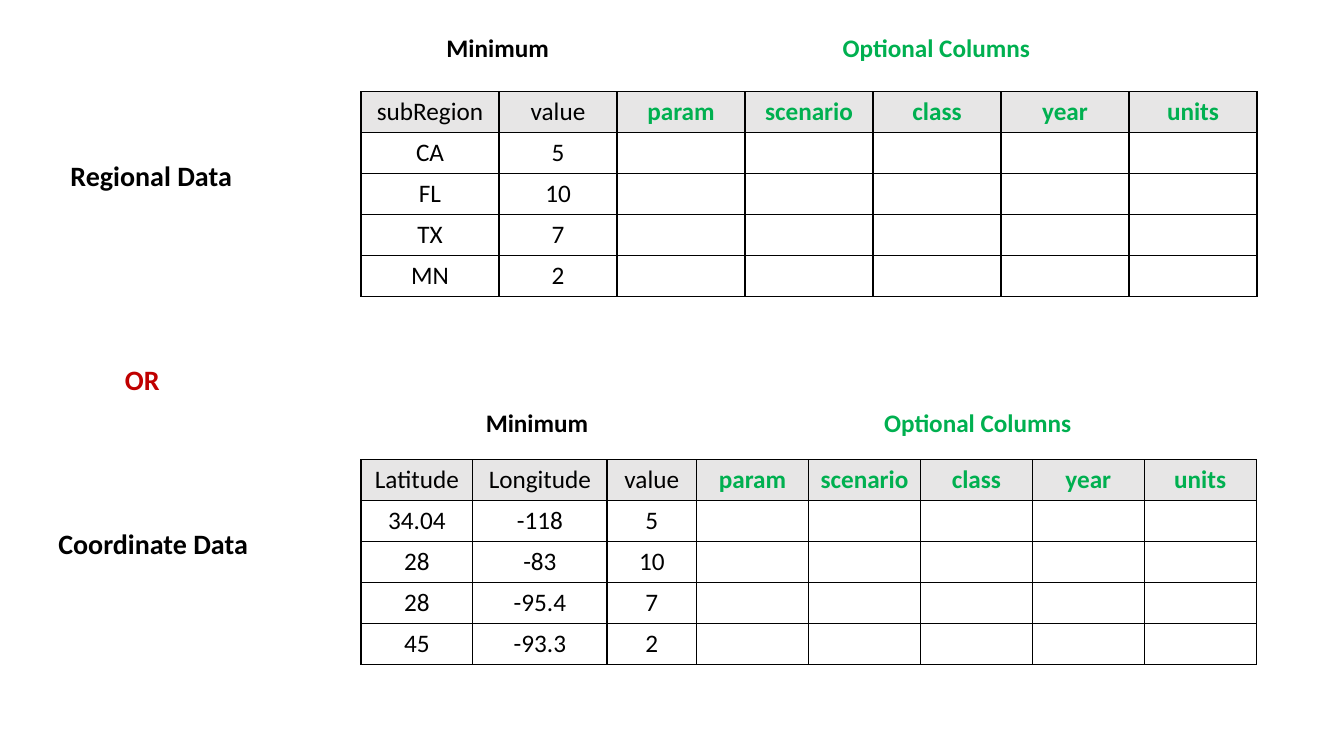
from dataclasses import dataclass

from lxml import etree
from pptx import Presentation
from pptx.dml.color import RGBColor
from pptx.enum.text import MSO_AUTO_SIZE, PP_ALIGN
from pptx.oxml.ns import qn
from pptx.slide import Slide
from pptx.table import _Cell
from pptx.text.text import Font
from pptx.util import Inches, Pt

CENTER = PP_ALIGN.CENTER
GROW = MSO_AUTO_SIZE.SHAPE_TO_FIT_TEXT

FONT = "Calibri"
BLACK, GREEN, RED, GRAY = "000000", "00B050", "C00000", "E7E6E6"
OPTIONAL = ["param", "scenario", "class", "year", "units"]
TABLE_LEFT, TABLE_WIDTH, TABLE_HEIGHT = 3.58, 8.89, 2.03


@dataclass
class Label:
    text: str
    left: float
    top: float
    width: float
    height: float
    size: int
    color: str = BLACK


@dataclass
class DataTable:
    top: float
    required: list[str]
    required_widths: list[float]
    optional_width: float
    rows: list[list[str]]


TABLES = [
    DataTable(0.91, ["subRegion", "value"], [1.37, 1.17], 1.27,
              [["CA", "5"], ["FL", "10"], ["TX", "7"], ["MN", "2"]]),
    DataTable(4.56, ["Latitude", "Longitude", "value"], [1.11, 1.33, 0.89], 1.11,
              [["34.04", "-118", "5"], ["28", "-83", "10"],
               ["28", "-95.4", "7"], ["45", "-93.3", "2"]]),
]

LABELS = [
    Label("Regional Data", 0.6, 1.52, 1.82, 0.44, 20),
    Label("Coordinate Data", 0.48, 5.17, 2.1, 0.44, 20),
    Label("OR", 1.14, 3.55, 0.55, 0.44, 20, RED),
    Label("Minimum", 4.33, 0.27, 1.23, 0.4, 18),
    Label("Optional Columns", 8.26, 0.27, 2.07, 0.4, 18, GREEN),
    Label("Minimum", 4.72, 3.99, 1.23, 0.4, 18),
    Label("Optional Columns", 8.67, 3.99, 2.07, 0.4, 18, GREEN),
]


def rgb(color: str) -> RGBColor:
    return RGBColor.from_string(color)


def set_font(font: Font, size: int, color: str, bold: bool) -> None:
    font.name = FONT
    font.size = Pt(size)
    font.bold = bold
    font.color.rgb = rgb(color)


def add_borders(cell: _Cell) -> None:
    properties = cell._tc.get_or_add_tcPr()
    for side in ("lnL", "lnR", "lnT", "lnB"):
        line = etree.SubElement(properties, qn(f"a:{side}"), w=str(Pt(1)))
        fill = etree.SubElement(line, qn("a:solidFill"))
        etree.SubElement(fill, qn("a:srgbClr"), val=BLACK)


def add_data_table(page: Slide, data: DataTable) -> None:
    header = data.required + OPTIONAL
    blanks = [""] * len(OPTIONAL)
    grid = [header] + [row + blanks for row in data.rows]
    widths = data.required_widths + [data.optional_width] * len(OPTIONAL)
    table = page.shapes.add_table(
        len(grid), len(header), Inches(TABLE_LEFT), Inches(data.top),
        Inches(TABLE_WIDTH), Inches(TABLE_HEIGHT)).table
    table.first_row = False
    table.horz_banding = False
    for column, width in zip(table.columns, widths):
        column.width = Inches(width)

    for row_index, row in enumerate(grid):
        for column_index, text in enumerate(row):
            cell = table.cell(row_index, column_index)
            add_borders(cell)
            is_header = row_index == 0
            if is_header:
                cell.fill.solid()
                cell.fill.fore_color.rgb = rgb(GRAY)
            else:
                cell.fill.background()
            if text:
                is_optional = column_index >= len(data.required)
                cell.text = text
                para = cell.text_frame.paragraphs[0]
                para.alignment = CENTER
                set_font(para.font, 18, GREEN if is_optional else BLACK, is_optional)


def add_label(page: Slide, label: Label) -> None:
    box = page.shapes.add_textbox(Inches(label.left), Inches(label.top),
                                  Inches(label.width), Inches(label.height))
    frame = box.text_frame
    frame.word_wrap = False
    frame.auto_size = GROW
    para = frame.paragraphs[0]
    para.text = label.text
    set_font(para.font, label.size, label.color, True)


def main() -> None:
    deck = Presentation()
    deck.slide_width, deck.slide_height = Inches(13.33), Inches(7.5)
    page = deck.slides.add_slide(deck.slide_layouts[6])

    # Regional and coordinate tables
    for data in TABLES:
        add_data_table(page, data)

    # Row titles and column headings
    for label in LABELS:
        add_label(page, label)

    deck.save("out.pptx")


if __name__ == "__main__":
    main()
